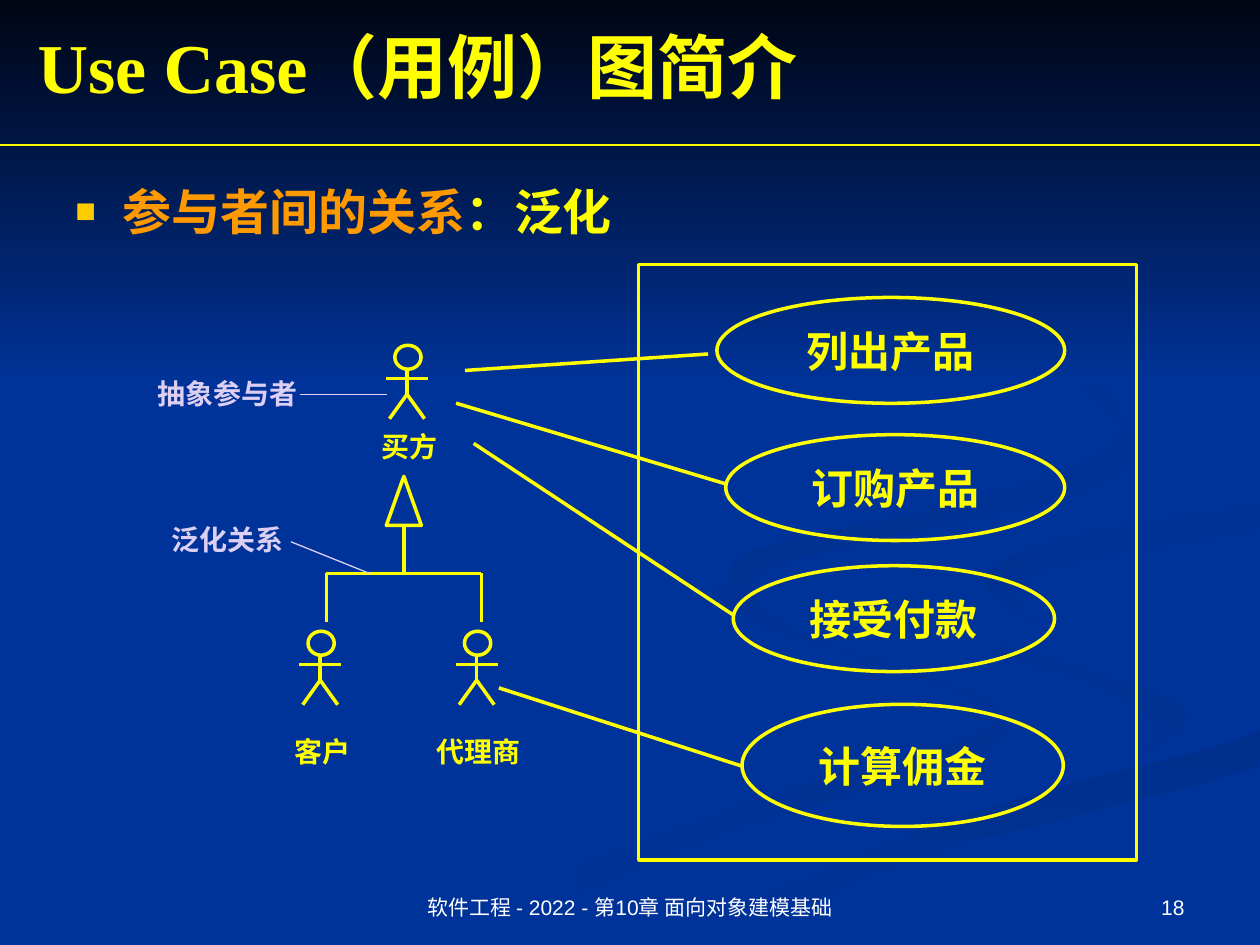
from dataclasses import dataclass
from typing import NamedTuple

from pptx import Presentation
from pptx.dml.color import RGBColor
from pptx.enum.shapes import MSO_CONNECTOR, MSO_SHAPE
from pptx.enum.text import MSO_ANCHOR as Anchor, PP_ALIGN as Align
from pptx.oxml.ns import qn
from pptx.util import Pt

YELLOW, LILAC, WHITE, BLUE = "FFFF00", "DCCFF3", "FFFFFF", "003399"
SERIF, SANS = "Times New Roman", "Arial"
WIDTH, HEIGHT = 720, 540
CURVE_STEPS = 5


class Box(NamedTuple):
    left: float
    top: float
    width: float
    height: float

    def lengths(self) -> list:
        return [Pt(value) for value in self]


class Line(NamedTuple):
    x1: float
    y1: float
    x2: float
    y2: float
    color: str = YELLOW
    width: float = 2


@dataclass
class Style:
    size: float
    color: str = YELLOW
    font: str = SERIF
    bold: bool = True
    align: Align = Align.CENTER
    anchor: Anchor = Anchor.TOP


@dataclass
class Swirl:
    start: str
    end: str
    angle: int  # clockwise, in degrees
    points: list


@dataclass
class Actor:
    center: float
    top: float
    name: str
    label_top: float


@dataclass
class UseCase:
    name: str
    left: float
    top: float
    width: float
    height: float = 60.5


def rgb(color: str) -> RGBColor:
    return RGBColor.from_string(color)


def fill_gradient(shape, start: str, end: str, angle: int) -> None:
    shape.shadow.inherit = False
    shape.line.fill.background()
    shape.fill.gradient()
    shape.fill.gradient_angle = (360 - angle) % 360
    for stop, color in zip(shape.fill.gradient_stops, (start, end)):
        stop.color.rgb = rgb(color)


def format_run(run, style: Style) -> None:
    run.font.size, run.font.bold, run.font.name = Pt(style.size), style.bold, style.font
    run.font.color.rgb = rgb(style.color)


def write(shape, text: str, style: Style, wrap: bool = True):
    frame = shape.text_frame
    frame.text = text
    frame.word_wrap, frame.vertical_anchor = wrap, style.anchor
    paragraph = frame.paragraphs[0]
    paragraph.alignment = style.align
    format_run(paragraph.runs[0], style)
    return paragraph


def add_text(slide, box: Box, text: str, style: Style):
    return write(slide.shapes.add_textbox(*box.lengths()), text, style)


def add_outline(slide, kind: MSO_SHAPE, box: Box):
    shape = slide.shapes.add_shape(kind, *box.lengths())
    shape.shadow.inherit = False
    shape.fill.background()
    shape.line.color.rgb, shape.line.width = rgb(YELLOW), Pt(2)
    return shape


def add_line(slide, line: Line) -> None:
    ends = [Pt(value) for value in line[:4]]
    connector = slide.shapes.add_connector(MSO_CONNECTOR.STRAIGHT, *ends)
    connector.line.color.rgb, connector.line.width = rgb(line.color), Pt(line.width)
    properties = connector._element.spPr
    properties.append(properties.makeelement(qn("a:effectLst"), {}))


def smooth(points: list) -> list:
    """Closed Catmull-Rom curve through the points, kept on the slide."""
    def blend(a: float, b: float, c: float, d: float, t: float) -> float:
        return b + t / 2 * (c - a + t * (2 * a - 5 * b + 4 * c - d + t * (3 * (b - c) + d - a)))

    curve = []
    for index in range(len(points)):
        near = [points[(index + shift) % len(points)] for shift in (-1, 0, 1, 2)]
        xs, ys = zip(*near)
        for step in range(CURVE_STEPS):
            t = step / CURVE_STEPS
            curve.append((min(blend(*xs, t), WIDTH), min(blend(*ys, t), HEIGHT)))
    return curve


def add_swirl(slide, swirl: Swirl) -> None:
    curve = smooth(swirl.points)
    builder = slide.shapes.build_freeform(*curve[0], scale=Pt(1))
    builder.add_line_segments(curve[1:], close=True)
    fill_gradient(builder.convert_to_shape(), swirl.start, swirl.end, swirl.angle)


def add_actor(slide, actor: Actor) -> None:
    x, y = actor.center, actor.top
    add_outline(slide, MSO_SHAPE.OVAL, Box(x - 7, y, 15, 13.7))
    for side in (-10, 10):
        add_line(slide, Line(x, y + 28, x + side, y + 42))
    add_line(slide, Line(x, y + 14, x, y + 28))
    add_line(slide, Line(x - 12, y + 19, x + 12, y + 19))
    add_text(slide, Box(x - 56, actor.label_top, 114.5, 21.6), actor.name, Style(16))


def add_bullet(paragraph, mark: str, color: str, percent: int, indent: float) -> None:
    properties = paragraph._p.get_or_add_pPr()
    properties.set("marL", str(Pt(indent)))
    properties.set("indent", str(-Pt(indent)))
    tint = properties.makeelement(qn("a:buClr"), {})
    tint.append(tint.makeelement(qn("a:srgbClr"), {"val": color}))
    properties.append(tint)
    for tag, key, value in (("a:buSzPct", "val", str(percent * 1000)),
                            ("a:buFont", "typeface", SANS), ("a:buChar", "char", mark)):
        properties.append(properties.makeelement(qn(tag), {key: value}))


SWIRLS = [
    Swirl(BLUE, "003193", 0, [(413, 332), (427, 354), (549, 394), (562, 417), (444, 453),
                              (216, 539), (260, 539), (406, 479), (576, 418), (462, 365)]),
    Swirl(BLUE, "003193", 45, [(679, 410), (639, 385), (536, 353), (521, 334), (544, 364),
                               (634, 395), (661, 418), (644, 436)]),
    Swirl("002F8C", BLUE, 90, [(362, 539), (411, 539), (520, 491), (719, 438), (719, 418),
                               (550, 466)]),
    Swirl(BLUE, BLUE, 0, [(522, 334), (558, 362), (673, 401), (662, 430), (477, 481), (343, 539),
                          (374, 538), (550, 466), (719, 418), (719, 387), (588, 354), (563, 331),
                          (612, 307), (719, 289), (719, 279), (554, 307)]),
    Swirl("003091", BLUE, 45, [(562, 331), (595, 357), (580, 341), (607, 323), (719, 302),
                               (719, 289), (611, 307)]),
    Swirl("002F8E", BLUE, 45, [(492, 310), (616, 282), (644, 248), (549, 168), (626, 215),
                               (635, 255), (549, 287), (430, 315), (420, 345), (448, 360),
                               (429, 332)]),
]
USE_CASES = [UseCase("列出产品", 409.7, 170, 198.7), UseCase("订购产品", 414.7, 248.4, 193.7),
             UseCase("接受付款", 419, 323.3, 183.6), UseCase("计算佣金", 424, 402.5, 183.6, 69.8)]
ACTORS = [Actor(232.6, 197.3, "买方", 242), Actor(183, 360.7, "客户", 416.2),
          Actor(272.4, 360.7, "代理商", 416.2)]
NOTES = [("抽象参与者", 211.7), ("泛化关系", 295.2)]
LEADERS = [Line(171.4, 225.4, 221, 225.4, LILAC, 0.75),
           Line(166.3, 309.6, 211, 327.6, LILAC, 0.75)]
ASSOCIATIONS = [Line(265.7, 211.7, 404.6, 202.3), Line(260.6, 230.4, 414.7, 276.5),
                Line(270.7, 253.4, 419, 351.4), Line(285.1, 393.1, 424, 437.8)]


def add_generalization(slide, center: float, top: float, bar: float, half: float) -> None:
    add_outline(slide, MSO_SHAPE.ISOSCELES_TRIANGLE, Box(center - 10, top, 20, 28))
    add_line(slide, Line(center - half, bar, center + half, bar))
    add_line(slide, Line(center, top + 28, center, bar))
    for x in (center - half, center + half):
        add_line(slide, Line(x, bar, x, bar + 28))


def main() -> None:
    presentation = Presentation()
    presentation.slide_width, presentation.slide_height = Pt(WIDTH), Pt(HEIGHT)
    slide = presentation.slides.add_slide(presentation.slide_layouts[6])
    # Background
    slide.background.fill.solid()
    slide.background.fill.fore_color.rgb = rgb(BLUE)
    for swirl in SWIRLS:
        add_swirl(slide, swirl)
    band = slide.shapes.add_shape(MSO_SHAPE.RECTANGLE, *Box(0, 0, WIDTH, 221.8).lengths())
    fill_gradient(band, "000514", BLUE, 90)
    # Title, topic and footer
    add_line(slide, Line(0, 82.8, WIDTH, 82.8, YELLOW, 0.75))
    add_text(slide, Box(14.4, 10, 648, 55.4), "Use Case（用例）图简介",
             Style(40, align=Align.LEFT, anchor=Anchor.MIDDLE))
    topic = add_text(slide, Box(36, 100, 648, 291.6), "参与者间的关系",
                     Style(28, "FF9900", align=Align.LEFT))
    add_bullet(topic, "■", "FFCC00", 70, 27)
    relation = topic.add_run()
    relation.text = "：泛化"
    format_run(relation, Style(28))
    for left, width, text, align in (
            (224, 272, "软件工程 - 2022 - 第10章 面向对象建模基础", Align.CENTER),
            (516.2, 167.8, "18", Align.RIGHT)):
        add_text(slide, Box(left, 491.8, width, 37.4), text,
                 Style(12, WHITE, SANS, False, align, Anchor.BOTTOM))
    # Use case diagram
    for case in USE_CASES:
        oval = add_outline(slide, MSO_SHAPE.OVAL, Box(case.left, case.top, case.width, case.height))
        write(oval, case.name, Style(24, anchor=Anchor.MIDDLE), wrap=False)
    add_outline(slide, MSO_SHAPE.RECTANGLE, Box(365, 151.2, 284.4, 340.2))
    for actor in ACTORS:
        add_actor(slide, actor)
    add_generalization(slide, 230.8, 272.2, 327.6, 44.3)
    for text, top in NOTES:
        add_text(slide, Box(79.2, top, 101.5, 26.6), text, Style(16, LILAC))
    for line in LEADERS + ASSOCIATIONS:
        add_line(slide, line)
    presentation.save("out.pptx")


if __name__ == "__main__":
    main()
